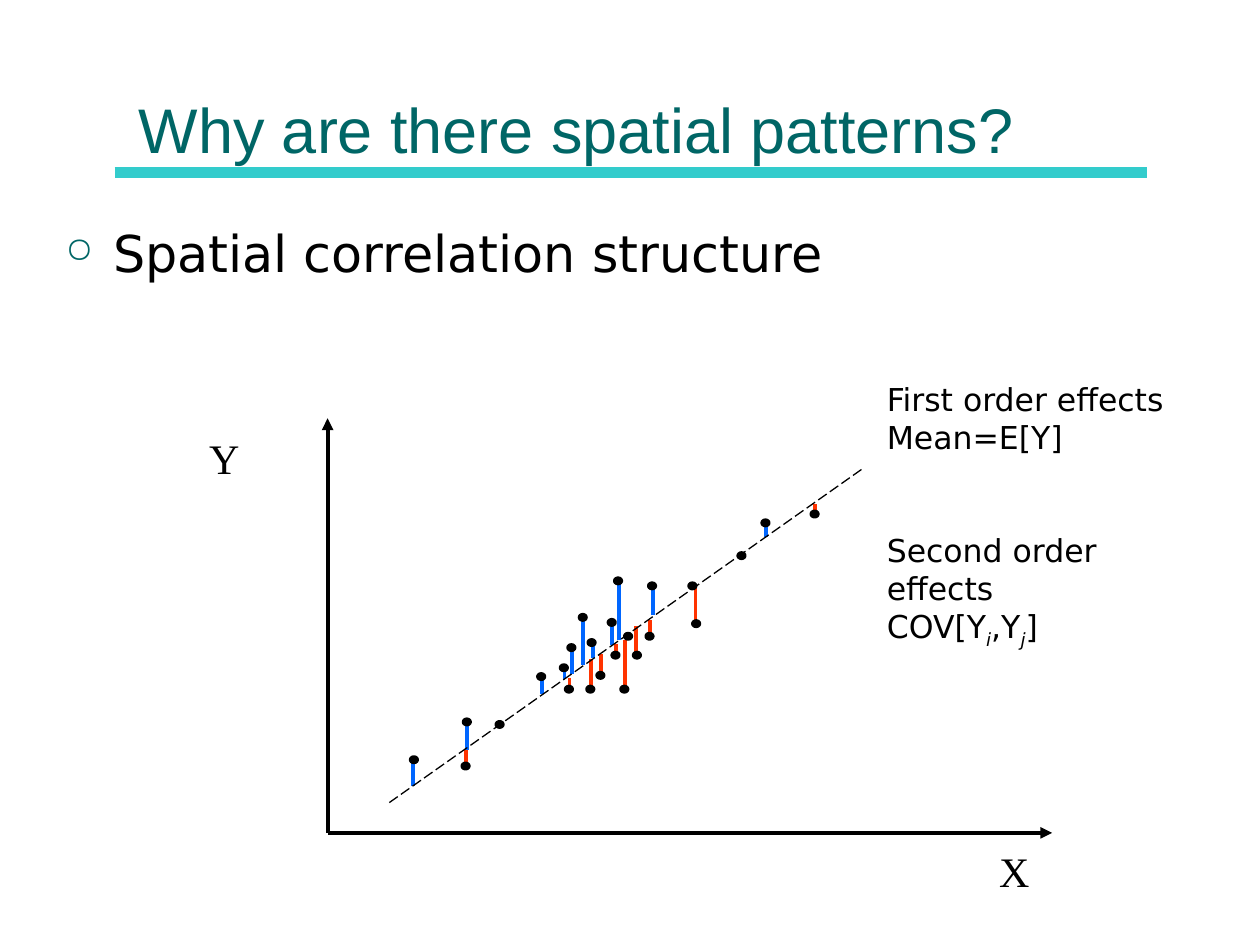
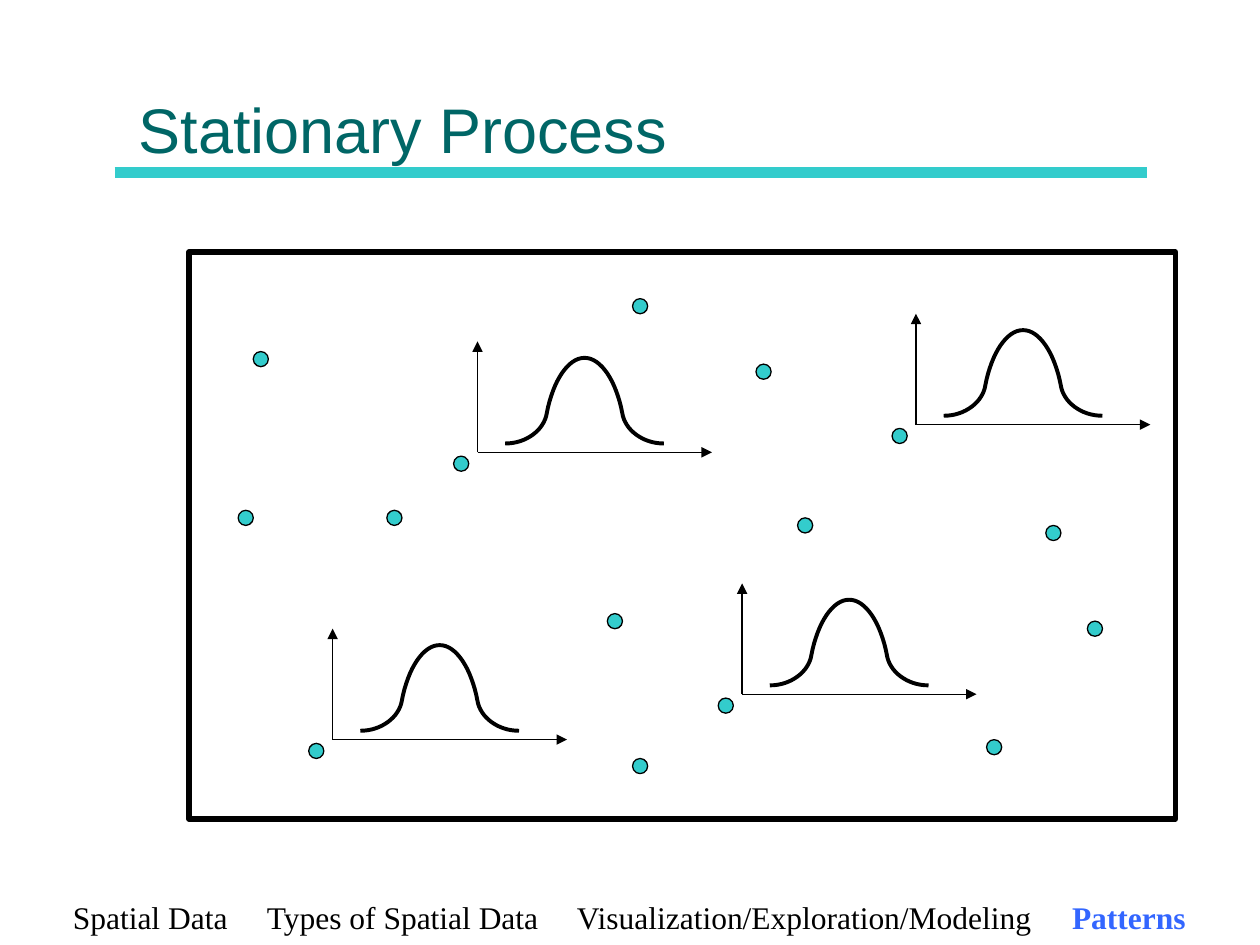
from lxml import etree
from pptx import Presentation
from pptx.dml.color import RGBColor
from pptx.enum.dml import MSO_LINE
from pptx.enum.shapes import MSO_CONNECTOR, MSO_SHAPE
from pptx.enum.text import MSO_ANCHOR, MSO_AUTO_SIZE, PP_ALIGN
from pptx.oxml.ns import qn
from pptx.util import Pt

PX = 9144  # EMU per px, 100 px to the inch
LEFT, CENTER = PP_ALIGN.LEFT, PP_ALIGN.CENTER
BOTTOM, NO_FIT = MSO_ANCHOR.BOTTOM, MSO_AUTO_SIZE.NONE
STRAIGHT, LONG_DASH = MSO_CONNECTOR.STRAIGHT, MSO_LINE.LONG_DASH
ELLIPSE, RECTANGLE = MSO_SHAPE.OVAL, MSO_SHAPE.RECTANGLE

COLORS = {"title": "006666", "bar": "33CCCC", "ink": "000000",
          "above": "0066FF", "below": "FF3300", "current": "3366FF"}
SANS, SERIF, HEADING = "DejaVu Sans", "Times New Roman", "Arial"

# Slide 1: scatter plot with first and second order effects
PATTERNS_TITLE = "Why are there spatial patterns?"
PATTERNS_BULLET = "Spatial correlation structure"
# (space before in points, [(text, is subscript), ...])
EFFECTS = [
    (0, [("First order effects", False)]),
    (0, [("Mean=E[Y]", False)]),
    (43, [("Second order effects", False)]),
    (0, [("COV[Y", False), ("i", True), (",Y", False), ("j", True), ("]", False)]),
]
AXIS_LABELS = [("Y", 156, 338), ("X", 783, 666)]
PLOT_ORIGIN, PLOT_TOP, PLOT_RIGHT = (260, 661), 332, 835
MEAN_LINE = (309, 637, 686, 371)
# Residuals: (x, top, bottom)
RESIDUALS = {
    "below": [(370, 595, 609), (452, 538, 545), (469, 523, 545), (477, 519, 538),
              (489, 511, 522), (496, 508, 546), (505, 497, 519), (516, 492, 507),
              (552, 467, 496), (647, 400, 409)],
    "above": [(328, 601, 624), (371, 573, 595), (430, 538, 551), (448, 530, 539),
              (454, 514, 535), (463, 491, 528), (471, 511, 522), (486, 495, 512),
              (491, 463, 508), (518, 466, 488), (608, 415, 426)],
}
OBSERVATIONS = [
    (326, 601), (367, 606), (368, 571), (394, 573), (427, 535), (445, 528), (449, 545),
    (451, 512), (460, 488), (466, 545), (467, 508), (474, 534), (483, 492), (486, 518),
    (488, 459), (493, 545), (496, 503), (503, 518), (513, 503), (515, 463), (547, 463),
    (550, 493), (586, 439), (605, 413), (644, 406)]

# Slide 2: the same distribution at every place
STATIONARY_TITLE = "Stationary Process"
REGION = (150, 200, 783, 450)
BELL_ORIGINS = [(264, 587), (379, 359), (589, 551), (727, 337)]
BELL_AXES = (186, 88)
BELL_CENTER = 85
# Left half of the bell, as cubic curves relative to the axis origin
BELL_HALF = [[(22, -7), (39, -7), (53, -18), (55, -31)],
             [(55, -31), (60, -57), (72, -75), (85, -75)]]
SITE_OFFSET, SITE_SIZE = (-19, 3), 12
SITES = [(201, 279), (307, 405), (600, 289), (783, 587), (830, 417), (482, 487),
         (502, 602), (502, 237), (633, 411), (863, 493), (189, 405)]
SECTIONS = ["Spatial Data", "Types of Spatial Data",
            "Visualization/Exploration/Modeling", "Patterns"]
SECTION_TABS = [154, 400, 793]


def rgb(name):
    return RGBColor.from_string(COLORS[name])


def style_font(font, name, size, color="ink"):
    font.name, font.size = name, Pt(size)
    font.color.rgb = rgb(color)


def add_line(page, x1, y1, x2, y2, color="ink", width=0.75, arrow=False, dash=None):
    line = page.shapes.add_connector(STRAIGHT, *(v * PX for v in (x1, y1, x2, y2)))
    line.line.color.rgb = rgb(color)
    line.line.width = Pt(width)
    if dash:
        line.line.dash_style = dash
    props = line.element.spPr
    if arrow:
        etree.SubElement(props.find(qn("a:ln")), qn("a:tailEnd"), type="triangle")
    etree.SubElement(props, qn("a:effectLst"))
    return line


def add_axes(page, origin, right, top, width):
    x, y = origin
    add_line(page, x, y, x, top, width=width, arrow=True)
    add_line(page, x, y, right, y, width=width, arrow=True)


def outline(shape, width, fill=None):
    shape.shadow.inherit = False
    shape.line.color.rgb = rgb("ink")
    shape.line.width = Pt(width)
    if fill:
        shape.fill.solid()
        shape.fill.fore_color.rgb = rgb(fill)
    else:
        shape.fill.background()


def add_preset(page, preset, place, width, fill=None):
    shape = page.shapes.add_shape(preset, *(v * PX for v in place))
    outline(shape, width, fill)


def add_text(page, *place):
    frame = page.shapes.add_textbox(*(v * PX for v in place)).text_frame
    frame.word_wrap = True
    return frame


def add_titled_page(deck, title):
    page = deck.slides.add_slide(deck.slide_layouts[5])
    box = page.shapes.title
    box.left, box.top, box.width, box.height = (v * PX for v in (100, 12, 800, 125))
    frame = box.text_frame
    frame.text = title
    frame.auto_size, frame.vertical_anchor = NO_FIT, BOTTOM
    para = frame.paragraphs[0]
    para.alignment = LEFT
    style_font(para.font, HEADING, 36, "title")
    return page


def add_bullet(page):
    para = add_text(page, 42, 171, 913, 450).paragraphs[0]
    para.text = PATTERNS_BULLET
    props = para._p.get_or_add_pPr()
    props.set("marL", str(38 * PX))
    props.set("indent", str(-38 * PX))
    color = etree.SubElement(props, qn("a:buClr"))
    etree.SubElement(color, qn("a:srgbClr"), val=COLORS["title"])
    etree.SubElement(props, qn("a:buSzPct"), val="70000")
    etree.SubElement(props, qn("a:buChar"), char="○")
    style_font(para.font, SANS, 29)


def add_effects(page):
    frame = add_text(page, 694, 297, 262, 194)
    for index, (space, spans) in enumerate(EFFECTS):
        para = frame.add_paragraph() if index else frame.paragraphs[0]
        if space:
            para.space_before = Pt(space)
        style_font(para.font, SANS, 18)
        for text, subscript in spans:
            span = para.add_run()
            span.text = text
            if subscript:
                span.font.italic = True
                span._r.get_or_add_rPr().set("baseline", "-25000")


def add_scatter(page):
    for color, residuals in RESIDUALS.items():
        for x, top, bottom in residuals:
            add_line(page, x, top, x, bottom, color, 2.25)
    add_axes(page, PLOT_ORIGIN, PLOT_RIGHT, PLOT_TOP, 2.25)
    for label, x, y in AXIS_LABELS:
        para = add_text(page, x, y, 44, 50).paragraphs[0]
        para.text, para.alignment = label, CENTER
        style_font(para.font, SERIF, 24)
    add_line(page, *MEAN_LINE, dash=LONG_DASH)
    for x, y in OBSERVATIONS:
        add_preset(page, ELLIPSE, (x, y, 5, 4), 2.25, "ink")


def cubic_points(curve, steps=16):
    for step in range(steps + 1):
        t = step / steps
        weights = ((1 - t) ** 3, 3 * t * (1 - t) ** 2, 3 * t * t * (1 - t), t ** 3)
        yield tuple(sum(w * p[axis] for w, p in zip(weights, curve)) for axis in (0, 1))


def add_bell(page, origin):
    x, y = origin
    add_axes(page, origin, x + BELL_AXES[0], y - BELL_AXES[1], 0.75)
    half = [point for curve in BELL_HALF for point in cubic_points(curve)]
    mirrored = [(2 * BELL_CENTER - dx, dy) for dx, dy in reversed(half)]
    points = [(round((x + dx) * PX), round((y + dy) * PX)) for dx, dy in half + mirrored]
    builder = page.shapes.build_freeform(*points[0])
    builder.add_line_segments(points[1:], close=False)
    outline(builder.convert_to_shape(), 2.25)


def add_sections(page):
    para = add_text(page, 48, 708, 911, 70).paragraphs[0]
    tabs = etree.SubElement(para._p.get_or_add_pPr(), qn("a:tabLst"))
    for stop in SECTION_TABS:
        etree.SubElement(tabs, qn("a:tab"), pos=str(stop * PX), algn="l")
    style_font(para.font, SERIF, 18)
    para.add_run().text = "\t".join(SECTIONS[:-1]) + "\t"
    current = para.add_run()
    current.text = SECTIONS[-1]
    current.font.bold = True
    current.font.color.rgb = rgb("current")


def main():
    deck = Presentation()
    deck.slide_width, deck.slide_height = 1000 * PX, 750 * PX

    # Spatial patterns, with the shared title bar moved to the layout
    page = add_titled_page(deck, PATTERNS_TITLE)
    bar = add_line(page, 91, 137, 910, 137, "bar", 6)
    page.slide_layout.shapes.element.append(bar.element)
    add_bullet(page)
    add_effects(page)
    add_scatter(page)

    # Stationary process
    page = add_titled_page(deck, STATIONARY_TITLE)
    add_preset(page, RECTANGLE, REGION, 3)
    for origin in BELL_ORIGINS:
        add_bell(page, origin)
    bell_sites = [(x + SITE_OFFSET[0], y + SITE_OFFSET[1]) for x, y in BELL_ORIGINS]
    for x, y in bell_sites + SITES:
        add_preset(page, ELLIPSE, (x, y, SITE_SIZE, SITE_SIZE), 0.75, "bar")
    add_sections(page)

    deck.save("out.pptx")


if __name__ == "__main__":
    main()
